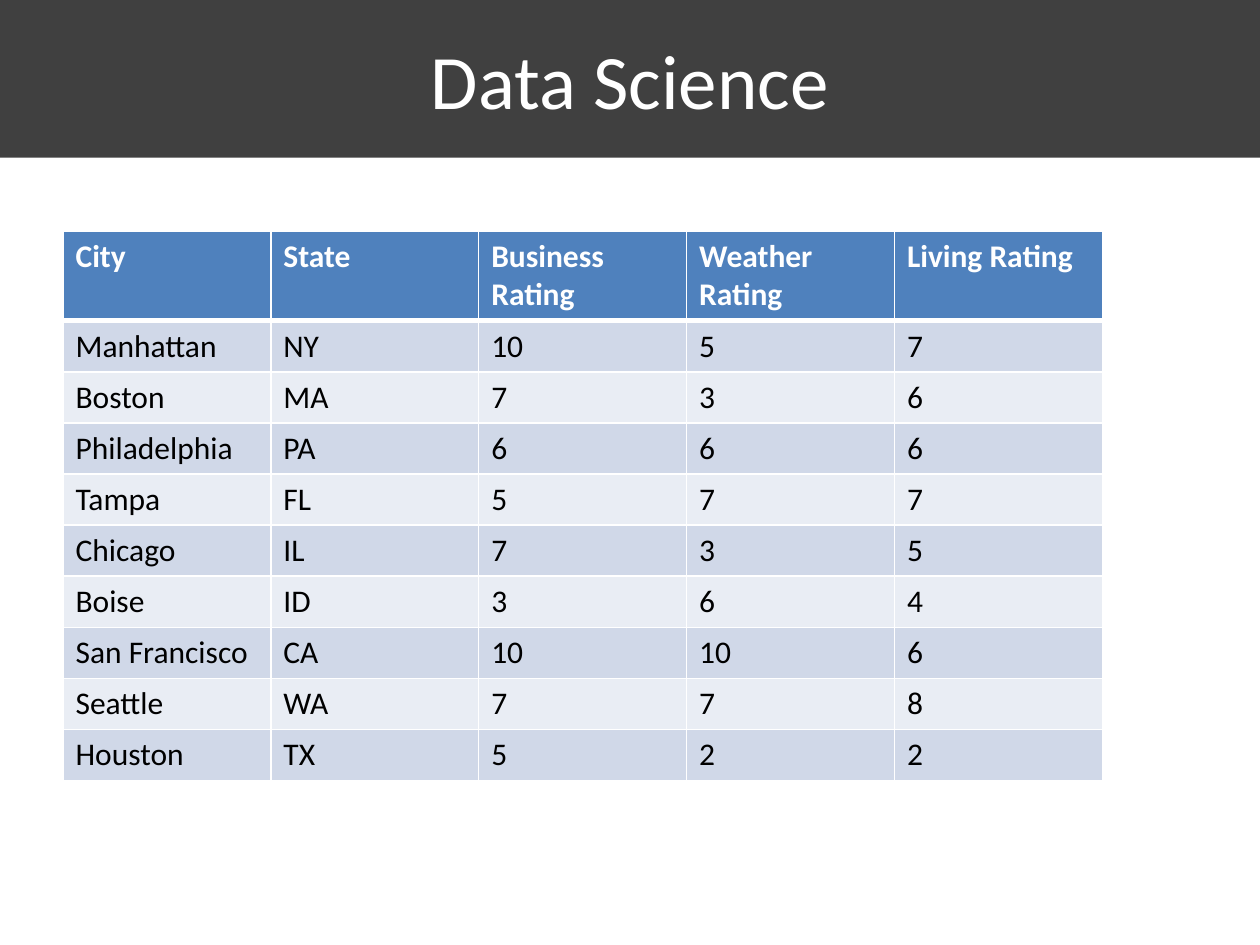
import pptx
import pptx.util
import pptx.dml.color
import pptx.enum.text
from lxml import etree
from pptx.oxml.ns import qn
from pptx.util import Cm, Pt

TITLE = "Data Science"
HEAD = ["City", "State", "Business Rating", "Weather Rating", "Living Rating"]
ROWS = [
    ("Manhattan", "NY", 10, 5, 7),
    ("Boston", "MA", 7, 3, 6),
    ("Philadelphia", "PA", 6, 6, 6),
    ("Tampa", "FL", 5, 7, 7),
    ("Chicago", "IL", 7, 3, 5),
    ("Boise", "ID", 3, 6, 4),
    ("San Francisco", "CA", 10, 10, 6),
    ("Seattle", "WA", 7, 7, 8),
    ("Houston", "TX", 5, 2, 2),
]
BANDS = ["D0D8E8", "E9EDF4"]
WHITE = "FFFFFF"
COL_W, HEAD_H, ROW_H = 4.19, 1.78, 1.03


def paint(fill, color):
    fill.solid()
    fill.fore_color.rgb = pptx.dml.color.RGBColor.from_string(color)


def write(frame, text, size, color, bold=False):
    run = frame.paragraphs[0].add_run()
    run.text = str(text)
    run.font.name = "Calibri"
    run.font.size = Pt(size)
    run.font.bold = bold
    paint(run.font.fill, color)


def edge(cell, side, width):
    """Draw a white border on one side: L, R, T or B."""
    props = cell._tc.get_or_add_tcPr()
    line = etree.SubElement(props, qn("a:ln" + side), w=str(Pt(width)))
    fill = etree.SubElement(line, qn("a:solidFill"))
    etree.SubElement(fill, qn("a:srgbClr"), val=WHITE)


def add_title(slide):
    title = slide.shapes.title
    title.left, title.top = Cm(0), Cm(0)
    title.width, title.height = Cm(25.4), Cm(3.18)
    paint(title.fill, "404040")
    frame = title.text_frame
    frame.vertical_anchor = pptx.enum.text.MSO_ANCHOR.MIDDLE
    frame.paragraphs[0].alignment = pptx.enum.text.PP_ALIGN.CENTER
    write(frame, TITLE, 44, WHITE)


def add_grid(slide):
    data = [HEAD] + ROWS
    table = slide.shapes.add_table(
        len(data), len(HEAD), Cm(1.27), Cm(4.66),
        Cm(COL_W * len(HEAD)), Cm(HEAD_H + ROW_H * len(ROWS))).table
    for col in table.columns:
        col.width = Cm(COL_W)
    for r, row in enumerate(data):
        top = r == 0
        table.rows[r].height = Cm(HEAD_H if top else ROW_H)
        for c, text in enumerate(row):
            cell = table.cell(r, c)
            edge(cell, "L", 1)
            edge(cell, "R", 1)
            edge(cell, "T", 3 if r == 1 else 1)
            edge(cell, "B", 3 if top else 1)
            paint(cell.fill, "4F81BD" if top else BANDS[(r - 1) % 2])
            write(cell.text_frame, text, 18, WHITE if top else "000000", top)


def main():
    deck = pptx.Presentation()
    deck.slide_width, deck.slide_height = Cm(25.4), Cm(19.05)
    slide = deck.slides.add_slide(deck.slide_layouts[5])
    add_title(slide)
    add_grid(slide)
    deck.save("out.pptx")


if __name__ == "__main__":
    main()
